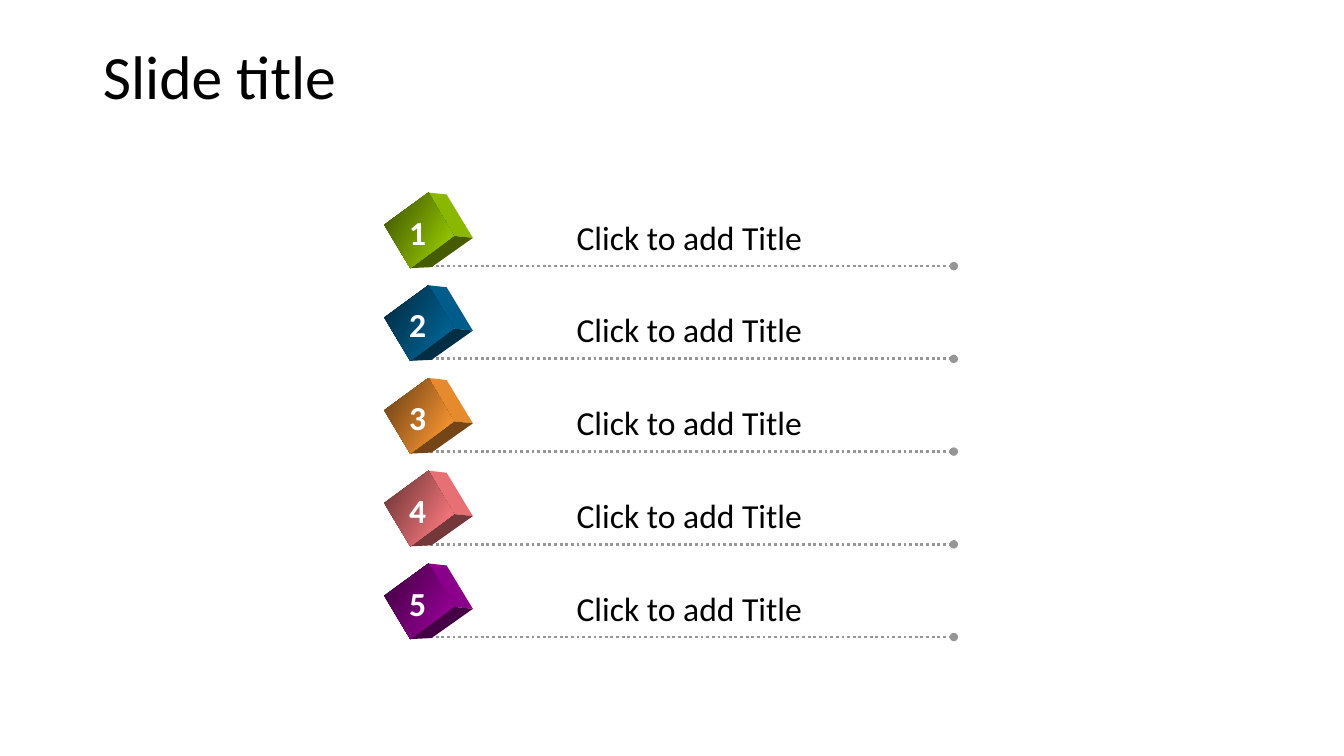
from dataclasses import dataclass

from lxml.etree import SubElement
from pptx import Presentation
from pptx.dml.color import RGBColor
from pptx.enum.dml import MSO_LINE
from pptx.enum.shapes import MSO_CONNECTOR
from pptx.enum.text import MSO_ANCHOR, PP_ALIGN
from pptx.oxml.ns import qn
from pptx.util import Inches, Pt


@dataclass(frozen=True)
class Theme:
    font: str = "Calibri"
    title_size: int = 44
    text_size: int = 24
    text: str = "000000"
    number: str = "FFFFFF"
    rule: str = "969696"
    cubes: tuple = ("99CC00", "006699", "FF9933", "FF7C80", "990099")
    lit: float = 0.93
    side: float = 0.9
    shade: float = 0.45


FIRST_RULE, ROW_PITCH = 2.64, 0.92
RULE_LEFT, RULE_RIGHT = 4.21, 9.46

# Cube corners: x on the slide, y measured from the row's rule.
LEFT, TOP, INNER, BOTTOM = (3.81, -0.41), (4.25, -0.73), (4.5, -0.3), (4.07, 0.02)
BACK_TOP, BACK_RIGHT, BACK_BOTTOM = (4.43, -0.71), (4.69, -0.28), (4.28, 0.01)


def shaded(color, factor):
    return RGBColor(*(round(channel * factor) for channel in RGBColor.from_string(color)))


def set_all(target, values):
    for name, value in values.items():
        setattr(target, name, value)


class SlideBuilder:
    def __init__(self, slide, theme):
        self.slide = slide
        self.theme = theme

    def fill_text(self, frame, text, size, color, bold=False, **frame_format):
        set_all(frame, frame_format)
        paragraph = frame.paragraphs[0]
        paragraph.alignment = PP_ALIGN.LEFT
        run = paragraph.add_run()
        run.text = text
        set_all(run.font, {"name": self.theme.font, "size": Pt(size), "bold": bold})
        run.font.color.rgb = RGBColor.from_string(color)
        return paragraph

    def title(self, text):
        title = self.slide.shapes.title
        set_all(title, {"left": Inches(0.92), "top": Inches(0.4),
                        "width": Inches(11.5), "height": Inches(0.78)})
        paragraph = self.fill_text(title.text_frame, text, self.theme.title_size,
                                   self.theme.text, vertical_anchor=MSO_ANCHOR.MIDDLE)
        paragraph.line_spacing = 0.9

    def text(self, group, left, top, width, text, color, bold=False):
        box = group.shapes.add_textbox(Inches(left), Inches(top), Inches(width), Inches(0.5))
        self.fill_text(box.text_frame, text, self.theme.text_size, color, bold, word_wrap=True)

    def rule(self, group, y):
        """Draw a dotted line that ends in a dot."""
        connector = group.shapes.add_connector(
            MSO_CONNECTOR.STRAIGHT, Inches(RULE_LEFT), Inches(y), Inches(RULE_RIGHT), Inches(y))
        set_all(connector.line, {"width": Pt(2), "dash_style": MSO_LINE.ROUND_DOT})
        connector.line.color.rgb = RGBColor.from_string(self.theme.rule)
        properties = connector._element.spPr
        SubElement(properties.find(qn("a:ln")), qn("a:tailEnd"), type="oval")
        SubElement(properties, qn("a:effectLst"))

    def face(self, group, y, corners):
        """Add one borderless cube face and return its fill."""
        points = [(Inches(x), Inches(y + offset)) for x, offset in corners]
        builder = group.shapes.build_freeform(*points[0])
        builder.add_line_segments(points[1:], close=True)
        face = builder.convert_to_shape()
        face.shadow.inherit = False
        face.line.fill.background()
        return face.fill

    def cube(self, group, y, color):
        theme = self.theme
        for corners, factor in (((TOP, BACK_TOP, BACK_RIGHT, INNER), theme.side),
                                ((BOTTOM, INNER, BACK_RIGHT, BACK_BOTTOM), theme.shade)):
            fill = self.face(group, y, corners)
            fill.solid()
            fill.fore_color.rgb = shaded(color, factor)
        front = self.face(group, y, (LEFT, TOP, INNER, BOTTOM))
        front.gradient()
        front.gradient_angle = 330
        for stop, position, factor in zip(front.gradient_stops, (0.1, 0.8),
                                          (theme.shade, theme.lit)):
            stop.position = position
            stop.color.rgb = shaded(color, factor)

    def row(self, number, y, text, color):
        group = self.slide.shapes.add_group_shape()
        self.rule(group, y)
        self.cube(group, y, color)
        self.text(group, 5.62, y - 0.54, 2.67, text, self.theme.text)
        self.text(group, 3.96, y - 0.59, 0.39, str(number), self.theme.number, bold=True)


def main():
    presentation = Presentation()
    set_all(presentation, {"slide_width": Inches(13.33), "slide_height": Inches(7.5)})
    slide = presentation.slides.add_slide(presentation.slide_layouts[5])
    theme = Theme()
    builder = SlideBuilder(slide, theme)
    builder.title("Slide title")
    for index, color in enumerate(theme.cubes):
        builder.row(index + 1, FIRST_RULE + index * ROW_PITCH, "Click to add Title", color)
    presentation.save("out.pptx")


if __name__ == "__main__":
    main()
